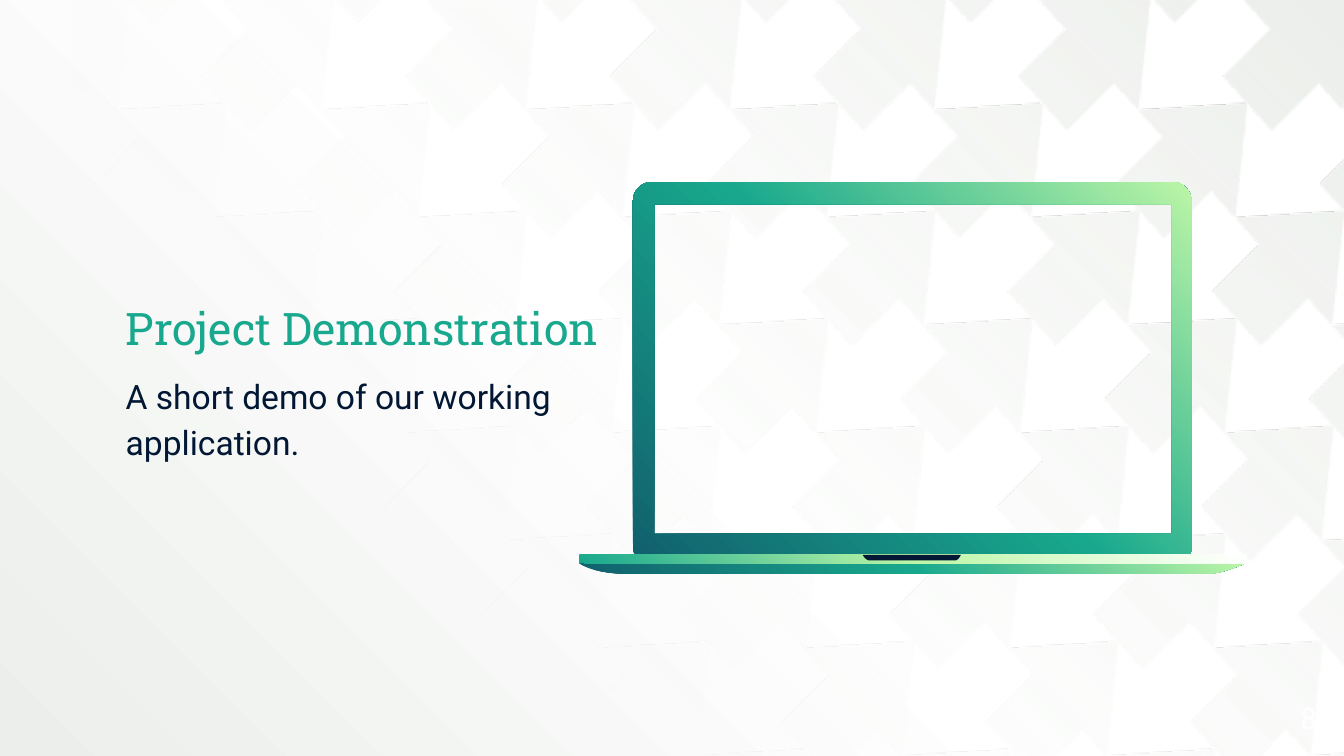
from math import cos, radians, sin

from pptx import Presentation
from pptx.dml.color import RGBColor
from pptx.enum.text import MSO_ANCHOR, PP_ALIGN
from pptx.oxml import parse_xml
from pptx.oxml.ns import nsdecls, qn
from pptx.util import Emu, Pt

PX = 4572
WIDTH, HEIGHT = 2000, 1125
COLORS = {
    "white": "FFFFFF",
    "mist": "EBEEEA",
    "lime": "BCF6A7",
    "green": "18A88D",
    "teal": "11606D",
    "navy": "011733",
}
FROM_TOP_RIGHT = (
    '<a:path path="circle"><a:fillToRect l="100000" t="0" r="0" b="100000"/></a:path>'
)
TO_BOTTOM_LEFT = '<a:lin ang="8100000" scaled="0"/>'
BODY_STOPS = [(0, "lime"), (50, "green"), (100, "teal")]
DECK_STOPS = [(0, "white"), (50, "lime"), (100, "green")]
PAGE_STOPS = [(0, "white"), (50, "white"), (100, "mist")]
PATTERN_STOPS = [(0, "mist"), (80, "white", 0), (100, "white", 0)]

PATTERN_LEFT = 106
COLUMN_STEP = 304
ROW_STEP = (144, 160)
FIRST_TIP = (174, 165)
ARROW = [(0, 0), (18, -170), (54, -130), (124, -200), (196, -120), (126, -50), (162, -10)]
STAIR = [(138, 126), (210, 206), (140, 276), (212, 356)]


def px(value):
    return Emu(round(value * PX))


def write(paragraph, text, font="Roboto", size=18, color="navy", spacing=1.0,
          before=0, after=0, align=PP_ALIGN.LEFT):
    paragraph.alignment = align
    paragraph.line_spacing = spacing
    paragraph.space_before = Pt(before)
    paragraph.space_after = Pt(after)
    run = paragraph.add_run()
    run.text = text
    run.font.name = font
    run.font.size = Pt(size)
    run.font.color.rgb = RGBColor.from_string(COLORS[color])


def apply_gradient(fill, element, stops, direction):
    fill.solid()
    fill.fore_color.rgb = RGBColor.from_string(COLORS["white"])
    marks = ""
    for position, color, *alpha in stops:
        opacity = "".join(f'<a:alpha val="{value * 1000}"/>' for value in alpha)
        marks += (f'<a:gs pos="{position * 1000}">'
                  f'<a:srgbClr val="{COLORS[color]}">{opacity}</a:srgbClr></a:gs>')
    gradient = parse_xml(
        f'<a:gradFill {nsdecls("a")} rotWithShape="1">'
        f"<a:gsLst>{marks}</a:gsLst>{direction}</a:gradFill>"
    )
    solid = next(element.iter(qn("a:solidFill")))
    solid.getparent().replace(solid, gradient)


def clip(points, axis, limit, sign):
    kept = []
    for start, end in zip(points[-1:] + points[:-1], points):
        start_gap = sign * (start[axis] - limit)
        end_gap = sign * (end[axis] - limit)
        if start_gap * end_gap < 0:
            share = start_gap / (start_gap - end_gap)
            kept.append(tuple(a + share * (b - a) for a, b in zip(start, end)))
        if end_gap >= 0:
            kept.append(end)
    return kept


def clip_to_pattern(points):
    for axis, limit, sign in ((0, PATTERN_LEFT, 1), (0, WIDTH, -1), (1, 0, 1), (1, HEIGHT, -1)):
        points = clip(points, axis, limit, sign)
    return points


def arrow_pattern():
    rows = range(8)
    stair = [(x + ROW_STEP[0] * row, y + ROW_STEP[1] * row) for row in rows for x, y in STAIR]
    outline = [(PATTERN_LEFT, 0), (PATTERN_LEFT, 158), *stair,
               (WIDTH, stair[-1][1]), (WIDTH, 0)]
    contours = [outline]
    for row in rows:
        tip_y = FIRST_TIP[1] + ROW_STEP[1] * row
        for tip_x in range(FIRST_TIP[0] + ROW_STEP[0] * row, WIDTH, COLUMN_STEP):
            contours.append([(tip_x + x, tip_y + y) for x, y in ARROW])
    clipped = [clip_to_pattern(contour) for contour in contours]
    return [contour for contour in clipped if len(contour) > 2]


def arc(center_x, center_y, radius, first_angle):
    angles = [radians(first_angle + step * 9) for step in range(11)]
    return [(center_x + radius * cos(a), center_y + radius * sin(a)) for a in angles]


def curve(*controls):
    points = []
    for step in range(11):
        t = step / 10
        weights = ((1 - t) ** 3, 3 * t * (1 - t) ** 2, 3 * t * t * (1 - t), t ** 3)
        points.append(tuple(sum(w * c[axis] for w, c in zip(weights, controls))
                            for axis in (0, 1)))
    return points


class SlideBuilder:
    def __init__(self, presentation):
        self.slide = presentation.slides.add_slide(presentation.slide_layouts[6])
        self.shapes = self.slide.shapes

    def background(self, stops):
        apply_gradient(self.slide.background.fill, self.slide.element, stops, FROM_TOP_RIGHT)

    def start_group(self):
        self.shapes = self.slide.shapes.add_group_shape().shapes

    def end_group(self):
        self.shapes = self.slide.shapes

    def outline(self, contours, stops=None, color=None, direction=FROM_TOP_RIGHT):
        contours = [[(px(x), px(y)) for x, y in contour] for contour in contours]
        builder = self.shapes.build_freeform(*contours[0][0], scale=1.0)
        builder.add_line_segments(contours[0][1:], close=True)
        for contour in contours[1:]:
            builder.move_to(*contour[0])
            builder.add_line_segments(contour[1:], close=True)
        shape = builder.convert_to_shape()
        shape.shadow.inherit = False
        shape.line.fill.background()
        if stops:
            apply_gradient(shape.fill, shape.element.spPr, stops, direction)
        else:
            shape.fill.solid()
            shape.fill.fore_color.rgb = RGBColor.from_string(COLORS[color])

    def text(self, left, top, width, height, paragraphs):
        shape = self.shapes.add_textbox(px(left), px(top), px(width), px(height))
        frame = shape.text_frame
        frame.word_wrap = True
        frame.vertical_anchor = MSO_ANCHOR.MIDDLE
        frame.margin_left = frame.margin_right = frame.margin_top = frame.margin_bottom = 0
        for index, (content, style) in enumerate(paragraphs):
            paragraph = frame.add_paragraph() if index else frame.paragraphs[0]
            write(paragraph, content, **style)


def add_laptop(builder):
    lid = [*arc(970, 299, 28, 180), *arc(1745, 299, 28, 270),
           *arc(1763, 818, 10, 0), *arc(952, 818, 10, 90)]
    screen = [(974, 304), (974, 794), (1744, 794), (1744, 304)]
    underside = [*curve((862, 838), (862, 838), (882, 854), (934, 854)),
                 *curve((1798, 854), (1818, 854), (1854, 838), (1854, 838))]
    deck = [(862, 826), (1854, 826), (1854, 838), (862, 838)]
    notch = [*curve((1284, 826), (1284, 826), (1288, 834), (1294, 834)),
             *curve((1422, 834), (1426, 834), (1430, 826), (1430, 826))]
    builder.start_group()
    builder.outline([lid, screen], BODY_STOPS)
    builder.outline([underside], BODY_STOPS)
    builder.outline([deck], DECK_STOPS)
    builder.outline([notch], color="navy")
    builder.end_group()


def main():
    presentation = Presentation()
    presentation.slide_width, presentation.slide_height = px(WIDTH), px(HEIGHT)
    builder = SlideBuilder(presentation)
    builder.background(PAGE_STOPS)
    builder.outline(arrow_pattern(), PATTERN_STOPS, direction=TO_BOTTOM_LEFT)
    add_laptop(builder)
    builder.text(187, 81, 724, 962, [
        ("Project Demonstration",
         dict(font="Roboto Slab", size=24, color="green", spacing=1.15)),
        ("A short demo of our working application.",
         dict(spacing=1.15, before=8, after=8)),
    ])
    builder.text(1876, 1036, 84, 64, [
        ("8", dict(size=16, color="white", align=PP_ALIGN.RIGHT)),
    ])
    presentation.save("out.pptx")


if __name__ == "__main__":
    main()
